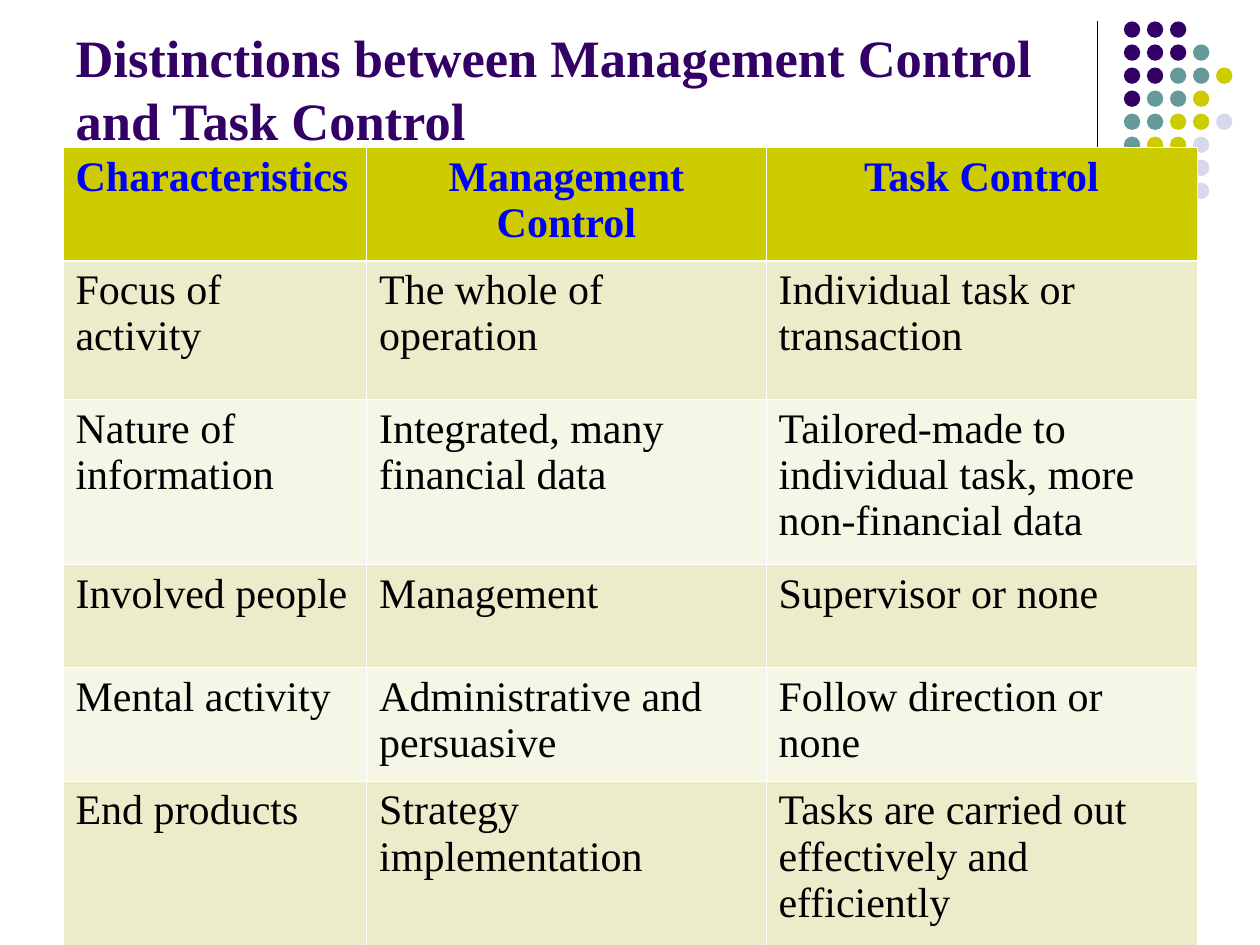
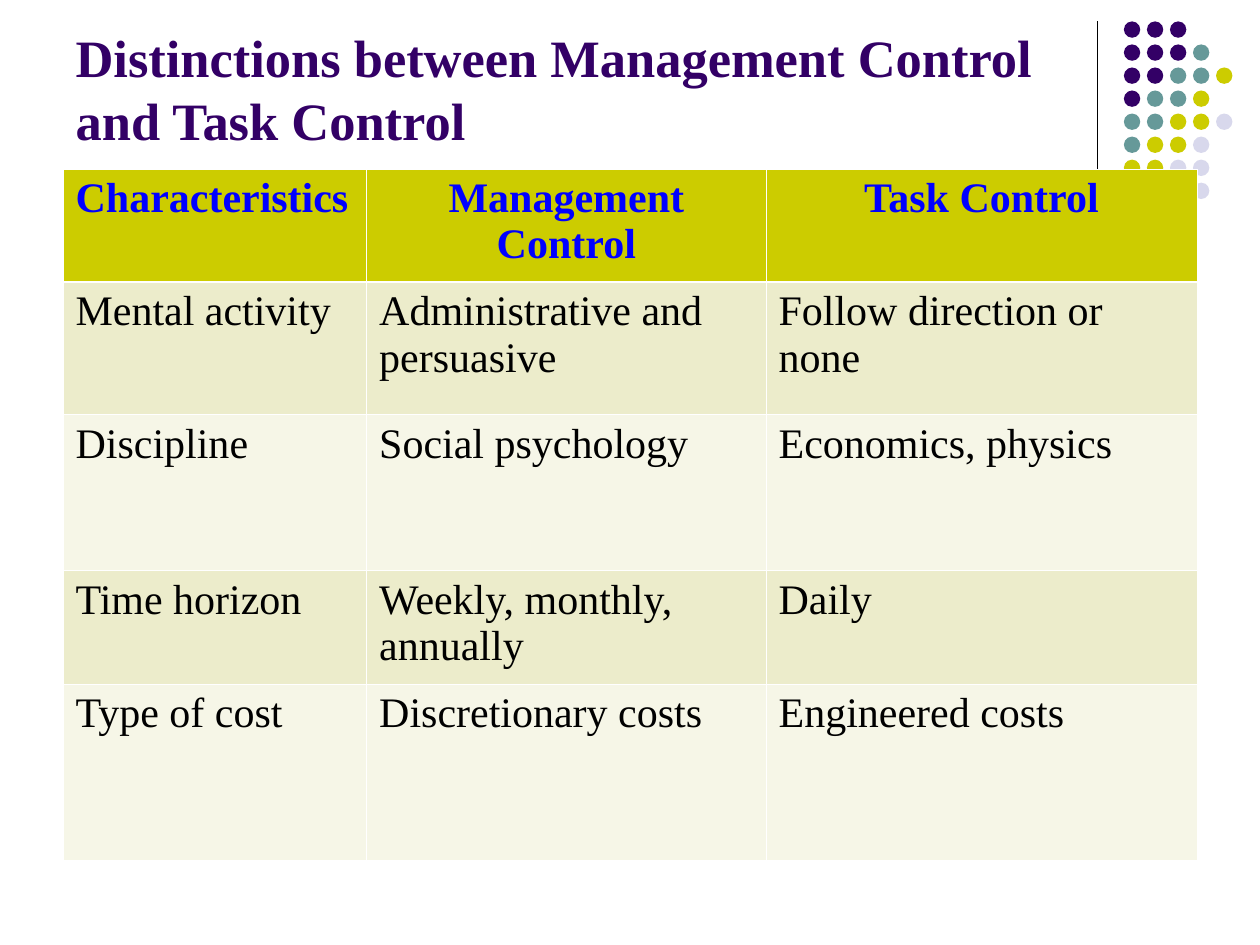
from lxml import etree
from pptx import Presentation
from pptx.dml.color import RGBColor
from pptx.enum import shapes, text
from pptx.oxml import ns
from pptx.util import Inches, Pt

# Shared style
FONT = "Times New Roman"
PLUM = RGBColor(0x33, 0x00, 0x66)
TEAL = RGBColor(0x66, 0x99, 0x99)
LIME = RGBColor(0xCC, 0xCC, 0x00)
MIST = RGBColor(0xD8, 0xD8, 0xEC)
BLUE = RGBColor(0x00, 0x00, 0xFF)
BLACK = RGBColor(0x00, 0x00, 0x00)
WHITE = RGBColor(0xFF, 0xFF, 0xFF)
BANDS = (RGBColor(0xF6, 0xF6, 0xE7), RGBColor(0xEC, 0xEC, 0xCB))

# Dot pattern in the corner, one letter a dot
DOTS = ("PPP", "PPPT", "PPTTL", "PTTL", "TTLLM", "TLLM", "LLMM", " M M")
INKS = {"P": PLUM, "T": TEAL, "L": LIME, "M": MIST}
PITCH = 1.28 / 7

# Content
TITLE = "Distinctions between Management Control and Task Control"
HEAD = ("Characteristics", "Management Control", "Task Control")
COLS = (2.41, 3.17, 3.42)
MENTAL = ("Mental activity", "Administrative and persuasive",
          "Follow direction or none")
SCOPE = [
    HEAD,
    ("Focus of activity", "The whole of operation",
     "Individual task or transaction"),
    ("Nature of information", "Integrated, many financial data",
     "Tailored-made to individual task, more non-financial data"),
    ("Involved people", "Management", "Supervisor or none"),
    MENTAL,
    ("End products", "Strategy implementation",
     "Tasks are carried out effectively and efficiently"),
]
COSTS = [
    HEAD,
    MENTAL,
    ("Discipline", "Social psychology", "Economics, physics"),
    ("Time horizon", "Weekly, monthly, annually", "Daily"),
    ("Type of cost", "Discretionary costs", "Engineered costs"),
]


def set_font(para, size, color, bold):
    for run in para.runs:
        font = run.font
        font.name, font.size, font.bold = FONT, Pt(size), bold
        font.color.rgb = color


def add_title(slide):
    title = slide.shapes.title
    title.left, title.top = Inches(0.5), Inches(0)
    title.width, title.height = Inches(8.25), Inches(1.25)
    frame = title.text_frame
    frame.text = TITLE
    frame.word_wrap = True
    frame.auto_size = text.MSO_AUTO_SIZE.NONE
    frame.vertical_anchor = text.MSO_ANCHOR.BOTTOM
    para = frame.paragraphs[0]
    para.alignment = text.PP_ALIGN.LEFT
    set_font(para, 30, PLUM, True)


def add_rule(slide):
    rule = slide.shapes.add_connector(
        shapes.MSO_CONNECTOR.STRAIGHT,
        Inches(8.71), Inches(0.17), Inches(8.71), Inches(1.83))
    rule.line.color.rgb = BLACK
    rule.line.width = Pt(0.75)
    props = rule._element.find(ns.qn("p:spPr"))
    etree.SubElement(props, ns.qn("a:effectLst"))


def add_dots(slide):
    group = slide.shapes.add_group_shape()
    for row, line in enumerate(DOTS):
        for col, key in enumerate(line):
            if key == " ":
                continue
            dot = group.shapes.add_shape(
                shapes.MSO_SHAPE.OVAL,
                Inches(8.92 + col * PITCH), Inches(0.17 + row * PITCH),
                Inches(0.13), Inches(0.13))
            dot.shadow.inherit = False
            dot.fill.solid()
            dot.fill.fore_color.rgb = INKS[key]
            dot.line.fill.background()


def add_edge(cell, side, width):
    props = cell._tc.get_or_add_tcPr()
    edge = etree.SubElement(props, ns.qn("a:ln" + side), w=str(Pt(width)))
    fill = etree.SubElement(edge, ns.qn("a:solidFill"))
    etree.SubElement(fill, ns.qn("a:srgbClr"), val=str(WHITE))


def fill_cell(cell, words, row, col):
    is_head = row == 0
    # Thick line between the header and the body
    thick = {"B": 0, "T": 1}
    for side in "LRTB":
        add_edge(cell, side, 1.47 if thick.get(side) == row else 0.45)
    cell.fill.solid()
    cell.fill.fore_color.rgb = LIME if is_head else BANDS[row % 2]
    cell.text_frame.text = words
    para = cell.text_frame.paragraphs[0]
    if is_head and col > 0:
        para.alignment = text.PP_ALIGN.CENTER
    set_font(para, 24, BLUE if is_head else BLACK, is_head)


def add_grid(slide, top, rows, highs):
    frame = slide.shapes.add_table(
        len(rows), len(COLS), Inches(0.5), Inches(top),
        Inches(sum(COLS)), Inches(sum(highs)))
    table = frame.table
    for col, wide in enumerate(COLS):
        table.columns[col].width = Inches(wide)
    for row, high in enumerate(highs):
        table.rows[row].height = Inches(high)
        for col, words in enumerate(rows[row]):
            fill_cell(table.cell(row, col), words, row, col)


def add_page(deck, top, rows, highs):
    slide = deck.slides.add_slide(deck.slide_layouts[5])
    add_title(slide)
    add_rule(slide)
    add_dots(slide)
    add_grid(slide, top, rows, highs)


def main():
    deck = Presentation()
    deck.slide_width, deck.slide_height = Inches(10), Inches(7.5)
    add_page(deck, 1.17, SCOPE, (0.9, 1.1, 1.31, 0.82, 0.9, 1.3))
    add_page(deck, 1.34, COSTS, (0.9, 1.05, 1.24, 0.9, 1.4))
    deck.save("out.pptx")


if __name__ == "__main__":
    main()
